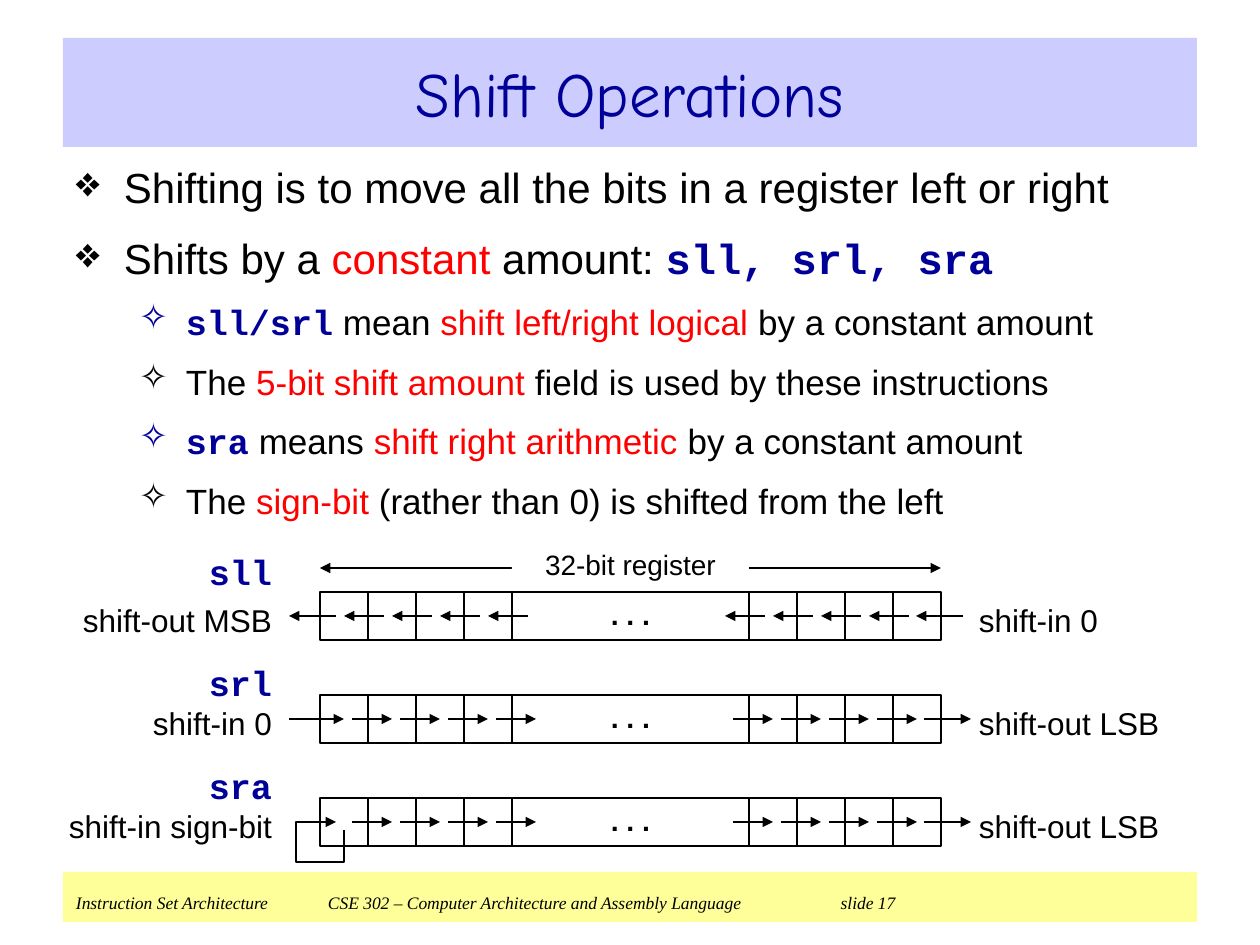
from lxml.etree import SubElement
from pptx import Presentation
from pptx.dml.color import RGBColor
from pptx.enum.shapes import MSO_CONNECTOR, MSO_SHAPE
from pptx.enum.text import MSO_ANCHOR as Anchor, PP_ALIGN as Align
from pptx.oxml.ns import qn
from pptx.util import Pt

PX = 914400 / 126
COLORS = {
    "black": "000000", "white": "FFFFFF", "navy": "000099",
    "red": "FF0000", "lilac": "CCCCFF", "yellow": "FFFF99",
}
# style: font, color, bold, italic
STYLES = {
    "plain": ("Arial", "black", False, False),
    "strong": ("Arial", "black", True, False),
    "key": ("Arial", "red", False, False),
    "code": ("Courier New", "navy", True, False),
    "title": ("Comic Neue", "navy", False, False),
    "footer": ("Times New Roman", "black", False, True),
}
BULLETS = [
    (0, [("Shifting is to move all the bits in a register left or right", "plain")]),
    (0, [("Shifts by a ", "plain"), ("constant", "key"), (" amount: ", "plain"),
         ("sll, srl, sra", "code")]),
    (1, [("sll/srl", "code"), (" mean ", "plain"), ("shift left/right logical", "key"),
         (" by a constant amount", "plain")]),
    (1, [("The ", "plain"), ("5-bit shift amount", "key"),
         (" field is used by these instructions", "plain")]),
    (1, [("sra", "code"), (" means ", "plain"), ("shift right arithmetic", "key"),
         (" by a constant amount", "plain")]),
    (1, [("The ", "plain"), ("sign-bit ", "key"),
         ("(rather than 0) is shifted from the left", "plain")]),
]
# level: size, space before, left margin, hanging indent, bullet
LEVELS = [(24, 12, 48, 48, "❖"), (20, 10, 110, 47, "✧")]

# instruction, its label top, left label, right label
REGISTERS = [
    ("sll", 552, "shift-out MSB", "shift-in 0"),
    ("srl", 663, "shift-in 0", "shift-out LSB"),
    ("sra", 766, "shift-in sign-bit", "shift-out LSB"),
]
CELL = 48
REGISTER_LEFT, REGISTER_TOP, REGISTER_PITCH = 320, 592, 103
MIDDLE_LEFT, MIDDLE_WIDTH = REGISTER_LEFT + 4 * CELL, 237
HIGH_CELLS_LEFT = MIDDLE_LEFT + MIDDLE_WIDTH
REGISTER_RIGHT = HIGH_CELLS_LEFT + 4 * CELL


def px(value):
    return round(value * PX)


def rgb(name):
    return RGBColor.from_string(COLORS[name])


def add_box(shapes, left, top, width, height, fill=None, line=None):
    shape = shapes.add_shape(MSO_SHAPE.RECTANGLE, px(left), px(top), px(width), px(height))
    shape.shadow.inherit = False
    if fill:
        shape.fill.solid()
        shape.fill.fore_color.rgb = rgb(fill)
    else:
        shape.fill.background()
    if line:
        style_line(shape.line, line)
    else:
        shape.line.fill.background()
    return shape


def style_line(line, color="black"):
    line.color.rgb = rgb(color)
    line.width = Pt(0.75)


def add_ends(shape, ends):
    for end in ends:
        SubElement(shape.line._get_or_add_ln(), qn(f"a:{end}"), type="triangle")


def add_text_box(shapes, left, top, width, height):
    return shapes.add_textbox(px(left), px(top), px(width), px(height))


def prepare_frame(shape, side_margin=0, anchor=Anchor.MIDDLE):
    frame = shape.text_frame
    frame.word_wrap = True
    frame.vertical_anchor = anchor
    frame.margin_left = frame.margin_right = px(side_margin)
    frame.margin_top = frame.margin_bottom = Pt(3.6)
    return frame


def format_run(run, size, style):
    font_name, color, bold, italic = STYLES[style]
    run.font.name = font_name
    run.font.size = Pt(size)
    run.font.bold = bold
    run.font.italic = italic
    run.font.color.rgb = rgb(color)


def add_run(paragraph, text, size, style):
    run = paragraph.add_run()
    run.text = text
    format_run(run, size, style)


def write(shape, text, size, style, align=Align.CENTER, before=0, spacing=None, margin=0):
    """Put one line of uniform text in a shape, centred vertically."""
    paragraph = prepare_frame(shape, margin).paragraphs[0]
    paragraph.text = text
    paragraph.alignment = align
    paragraph.space_before = Pt(before)
    if spacing:
        paragraph.line_spacing = spacing
    format_run(paragraph.runs[0], size, style)
    return paragraph.runs[0]


def add_arrow(shapes, left, right, y, ends):
    arrow = shapes.add_connector(MSO_CONNECTOR.STRAIGHT, px(left), px(y), px(right), px(y))
    style_line(arrow.line)
    add_ends(arrow, ends)
    SubElement(arrow._element.spPr, qn("a:effectLst"))


def add_footer(shapes):
    frame = prepare_frame(add_box(shapes, 63, 872, 1134, 50, "yellow"), 13, Anchor.TOP)
    paragraph = frame.paragraphs[0]
    paragraph.alignment = Align.LEFT
    paragraph.space_before = Pt(6.2)
    tabs = SubElement(paragraph._p.get_or_add_pPr(), qn("a:tabLst"))
    for position in (252, 756):
        SubElement(tabs, qn("a:tab"), pos=str(px(position)), algn="l")
    add_run(paragraph, "Instruction Set Architecture\t"
            "CSE 302 – Computer Architecture and Assembly Language \t", 10, "footer")
    add_run(paragraph, " ", 18, "plain")
    add_run(paragraph, "slide 17", 10, "footer")


def add_bullets(shapes):
    frame = prepare_frame(add_text_box(shapes, 63, 155, 1134, 378), 13, Anchor.TOP)
    for index, (level, runs) in enumerate(BULLETS):
        size, before, margin, hanging, bullet = LEVELS[level]
        paragraph = frame.add_paragraph() if index else frame.paragraphs[0]
        paragraph.level = level
        paragraph.space_before = Pt(before)
        properties = paragraph._p.get_or_add_pPr()
        properties.set("marL", str(px(margin)))
        properties.set("indent", str(-px(hanging)))
        bullet_color = STYLES[runs[0][1]][1]
        color = SubElement(properties, qn("a:buClr"))
        SubElement(color, qn("a:srgbClr"), val=COLORS[bullet_color])
        SubElement(properties, qn("a:buChar"), char=bullet)
        for text, style in runs:
            add_run(paragraph, text, size, style)


def add_cells(shapes, top):
    for start in (REGISTER_LEFT, HIGH_CELLS_LEFT):
        for index in range(4):
            add_box(shapes, start + index * CELL, top, CELL, CELL, line="black")
    middle = add_box(shapes, MIDDLE_LEFT, top, MIDDLE_WIDTH, CELL, line="black")
    dots = write(middle, ". . .", 28, "strong", before=17.5)
    dots.font._element.set("baseline", "20000")


def add_bit_arrows(shapes, instruction, y):
    to_left = instruction == "sll"
    ends = ["headEnd"] if to_left else ["tailEnd"]
    offset = 0 if to_left else 8
    spans = [(start + offset + index * CELL, start + offset + index * CELL + 40)
             for start in (344, 725) for index in range(4)]
    spans.append((916 + offset, 963 + offset))
    if instruction != "sra":
        spans.append((289, 336 + offset))
    for left, right in spans:
        add_arrow(shapes, left, right, y, ends)


def add_sign_loop(shapes, y):
    builder = shapes.build_freeform(px(344), px(y + 8))
    corners = [(344, y + 40), (296, y + 40), (296, y), (336, y)]
    builder.add_line_segments([(px(x), px(corner_y)) for x, corner_y in corners], close=False)
    loop = builder.convert_to_shape()
    loop.shadow.inherit = False
    loop.fill.background()
    style_line(loop.line)
    add_ends(loop, ["tailEnd"])


def add_register(shapes, top, instruction, name_top, left_label, right_label):
    add_cells(shapes, top)
    add_bit_arrows(shapes, instruction, top + CELL // 2)
    write(add_text_box(shapes, 58, top, 214, CELL), left_label, 18, "plain",
          Align.RIGHT, spacing=1.2)
    write(add_text_box(shapes, 979, top, 207, CELL), right_label, 18, "plain",
          Align.LEFT, spacing=1.2)
    write(add_text_box(shapes, 177, name_top, 95, 39), instruction, 20, "code",
          Align.RIGHT, before=12.5)


def add_width_marker(shapes):
    add_arrow(shapes, REGISTER_LEFT, REGISTER_RIGHT, 568, ["headEnd", "tailEnd"])
    label = add_box(shapes, MIDDLE_LEFT, 544, MIDDLE_WIDTH, 40, "white")
    write(label, "32-bit register", 16, "plain", before=10)


def main():
    presentation = Presentation()
    presentation.slide_width, presentation.slide_height = px(1260), px(945)
    slide = presentation.slides.add_slide(presentation.slide_layouts[6])
    add_footer(slide.shapes)
    title = add_box(slide.shapes, 63, 38, 1134, 109, "lilac")
    write(title, "Shift Operations", 36, "title", margin=13)
    add_bullets(slide.shapes)
    for index, register in enumerate(REGISTERS):
        shapes = slide.shapes.add_group_shape().shapes
        top = REGISTER_TOP + index * REGISTER_PITCH
        add_register(shapes, top, *register)
        if register[0] == "sll":
            add_width_marker(shapes)
        elif register[0] == "sra":
            add_sign_loop(shapes, top + CELL // 2)
    presentation.save("out.pptx")


if __name__ == "__main__":
    main()
